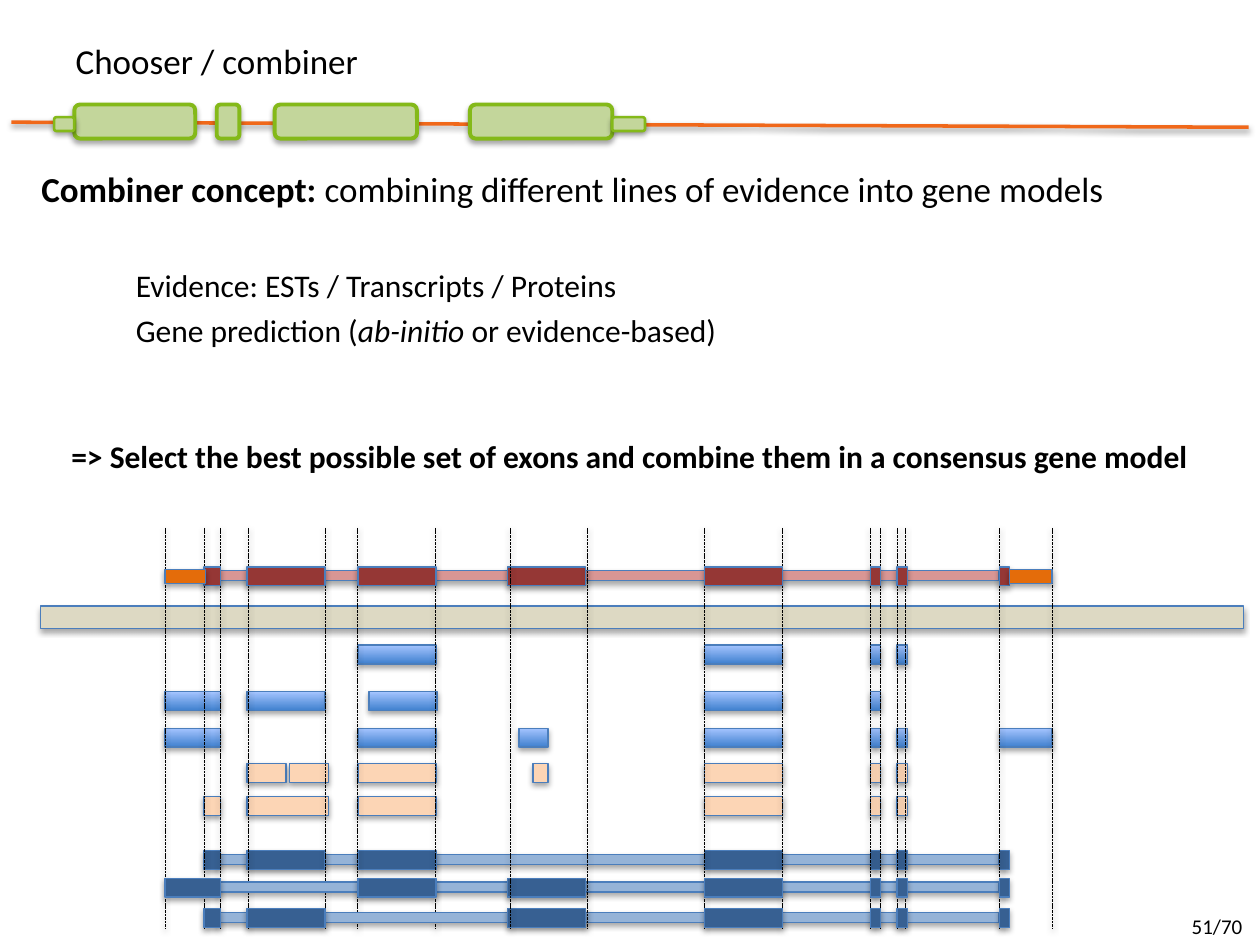
from dataclasses import dataclass

import lxml.etree
import pptx
import pptx.dml.color
import pptx.enum.dml
import pptx.enum.shapes
import pptx.enum.text
import pptx.oxml.ns
import pptx.util

RECT = pptx.enum.shapes.MSO_SHAPE.RECTANGLE
ROUNDED = pptx.enum.shapes.MSO_SHAPE.ROUNDED_RECTANGLE
ALIGN = pptx.enum.text.PP_ALIGN
COLUMNS, ROWS = 1000, 750  # square grid cells over the whole slide


@dataclass(frozen=True)
class Theme:
    font: str = "Calibri"
    heading: int = 20
    body: int = 18
    small: int = 12
    text: str = "000000"
    strand: str = "F0681A"
    banner: str = "C3D69B"
    banner_edge: str = "84B919"
    edge: str = "4B7EBC"
    genome: str = "DDD9C3"
    consensus: str = "953735"
    consensus_intron: str = "D99694"
    untranslated: str = "E46C0A"
    model: str = "376092"
    model_intron: str = "95B3D7"
    protein: str = "FCD5B5"
    transcript: tuple = ("3F80CE", "A4C4FF")


@dataclass(frozen=True)
class Box:
    left: float
    top: float
    width: float
    height: float

    def emu(self):
        return [cells(v) for v in (self.left, self.top, self.width, self.height)]

    def inner(self, left, top, width, height):
        return Box(self.left + left, self.top + top, width, height)


THEME = Theme()

# Spans in columns from the left edge of the locus
UTR5, FIRST, FIRST_WITH_UTR = (0, 32), (31, 44), (0, 44)
SECOND, THIRD, FOURTH, FIFTH = (65, 127), (153, 215), (272, 334), (428, 490)
SIXTH, SEVENTH, LAST = (560, 568), (581, 589), (662, 670)
UTR3, LAST_WITH_UTR = (670, 704), (662, 704)
INTRON = (40, 662)
TAIL = [FIFTH, SIXTH, SEVENTH]
BOUNDARIES = [0, 31, 44, 66, 127, 153, 215, 428, 490, 560, 568, 581, 588, 662, 704]
EXTRA_BOUNDARIES = [274, 335]

# Tops in rows from the top edge of the locus
TRANSCRIPTS = {
    93: [THIRD, *TAIL],
    130: [FIRST_WITH_UTR, SECOND, (162, 216), FIFTH, SIXTH],
    159: [FIRST_WITH_UTR, THIRD, (281, 304), *TAIL, LAST_WITH_UTR],
}
PROTEINS = {
    187: [(65, 96), (99, 130), THIRD, (292, 304), *TAIL],
    213: [FIRST, (65, 130), THIRD, *TAIL],
}
FIRST_MODEL = {256: [FIRST, SECOND, THIRD, *TAIL, LAST]}
OTHER_MODELS = {
    278: [FIRST_WITH_UTR, THIRD, FOURTH, *TAIL, LAST],
    302: [FIRST, SECOND, FOURTH, *TAIL, LAST],
}


def cells(count):
    return pptx.util.Inches(count * 10 / COLUMNS)


def colour(code):
    return pptx.dml.color.RGBColor.from_string(code)


def add_shadow(shape, distance, opacity):
    tag = pptx.oxml.ns.qn
    effects = lxml.etree.SubElement(shape._element.spPr, tag("a:effectLst"))
    outer = lxml.etree.SubElement(
        effects, tag("a:outerShdw"), blurRad="40000", dist=str(distance),
        dir="5400000", rotWithShape="0")
    black = lxml.etree.SubElement(outer, tag("a:srgbClr"), val="000000")
    lxml.etree.SubElement(black, tag("a:alpha"), val=str(opacity * 1000))


def add_block(shapes, box, fill, kind=RECT, edge=THEME.edge, weight=0.75):
    block = shapes.add_shape(kind, *box.emu())
    if isinstance(fill, tuple):
        block.fill.gradient()
        block.fill.gradient_angle = 90
        for stop, code in zip(block.fill.gradient_stops, fill):
            stop.color.rgb = colour(code)
    else:
        block.fill.solid()
        block.fill.fore_color.rgb = colour(fill)
    block.line.color.rgb = colour(edge)
    block.line.width = pptx.util.Pt(weight)
    add_shadow(block, 23000, 35)


def add_rule(shapes, start, end, code, weight, dash=None):
    rule = shapes.add_connector(
        pptx.enum.shapes.MSO_CONNECTOR.STRAIGHT, *[cells(v) for v in (*start, *end)])
    rule.line.color.rgb = colour(code)
    rule.line.width = pptx.util.Pt(weight)
    if dash:
        rule.line.dash_style = dash
    add_shadow(rule, 20000, 38)


def write(para, spans, size, align=ALIGN.LEFT):
    """Fill a paragraph with (text, style) spans; style is "", "bold" or "italic"."""
    para.alignment = align
    para.font.name = THEME.font
    para.font.size = pptx.util.Pt(size)
    para.font.color.rgb = colour(THEME.text)
    for text, style in spans:
        span = para.add_run()
        span.text = text
        if style == "bold":
            span.font.bold = True
        elif style == "italic":
            span.font.italic = True


def add_text(page, box, spans, size, align=ALIGN.LEFT, wrap=True):
    frame = page.shapes.add_textbox(*box.emu()).text_frame
    frame.word_wrap = wrap
    write(frame.paragraphs[0], spans, size, align)


def add_header(page, box):
    title = page.shapes.title
    title.left, title.top, title.width, title.height = box.inner(50, 24, 375, 48).emu()
    title.text_frame.vertical_anchor = pptx.enum.text.MSO_ANCHOR.MIDDLE
    write(title.text_frame.paragraphs[0], [("Chooser / combiner", "")], THEME.heading)
    add_rule(page.shapes, (box.left + 9, box.top + 97),
             (box.left + box.width - 9, box.top + 101), THEME.strand, 2)
    for left, width in [(59, 96), (172, 18), (218, 113), (373, 113)]:
        add_block(page.shapes, box.inner(left, 83, width, 27), THEME.banner,
                  ROUNDED, THEME.banner_edge, 2.25)
    for left, width in [(486, 26), (43, 16)]:
        add_block(page.shapes, box.inner(left, 93, width, 11), THEME.banner,
                  ROUNDED, THEME.banner_edge, 1.5)


def add_statements(page, box):
    add_text(page, box.inner(23, 0, box.width - 23, 44),
             [("Combiner concept: ", "bold"),
              ("combining different lines of evidence into gene models", "")],
             THEME.heading)
    add_text(page, box.inner(98, 78, 440, 40),
             [("Evidence: ESTs / Transcripts / Proteins", "")], THEME.body)
    add_text(page, box.inner(98, 114, 486, 40),
             [("Gene prediction (", ""), ("ab-initio ", "italic"),
              ("or evidence-based)", "")], THEME.body, wrap=False)
    add_text(page, box.inner(0, 214, box.width, 40),
             [("=> Select the best possible set of exons and combine them "
               "in a consensus gene model", "bold")], THEME.body, ALIGN.CENTER)


def add_tracks(page, locus, tracks, fill, intron=None):
    for top, exons in tracks.items():
        shapes = page.shapes.add_group_shape().shapes
        if intron:
            start, end = INTRON
            add_block(shapes, locus.inner(start, top + 3, end - start, 8), intron)
        for start, end in exons:
            add_block(shapes, locus.inner(start, top, end - start, 15), fill)


def add_consensus(page, locus):
    add_tracks(page, locus,
               {31: [FIRST, SECOND, THIRD, FOURTH, *TAIL, LAST]},
               THEME.consensus, THEME.consensus_intron)
    for start, end in (UTR5, UTR3):
        add_block(page.shapes, locus.inner(start, 33, end - start, 11), THEME.untranslated)


def add_boundaries(shapes, locus, columns):
    for column in columns:
        left = locus.left + column
        add_rule(shapes, (left, locus.top), (left, locus.top + locus.height),
                 THEME.text, 0.5, pptx.enum.dml.MSO_LINE.SQUARE_DOT)


def add_locus(page, locus):
    add_block(page.shapes, locus.inner(-99, 62, 955, 18), THEME.genome)
    add_tracks(page, locus, FIRST_MODEL, THEME.model, THEME.model_intron)
    add_tracks(page, locus, PROTEINS, THEME.protein)
    add_tracks(page, locus, TRANSCRIPTS, THEME.transcript)
    add_boundaries(page.shapes.add_group_shape().shapes, locus, BOUNDARIES)
    add_tracks(page, locus, OTHER_MODELS, THEME.model, THEME.model_intron)
    add_consensus(page, locus)
    add_boundaries(page.shapes, locus, EXTRA_BOUNDARIES)


def main():
    deck = pptx.Presentation()
    deck.slide_width, deck.slide_height = cells(COLUMNS), cells(ROWS)
    page = deck.slides.add_slide(deck.slide_layouts[5])
    add_header(page, Box(0, 0, COLUMNS, 120))
    add_statements(page, Box(0, 128, COLUMNS, 254))
    add_locus(page, Box(131, 419, 704, 318))
    add_text(page, Box(936, 720, 64, 30), [("51/70", "")], THEME.small)
    deck.save("out.pptx")


if __name__ == "__main__":
    main()
